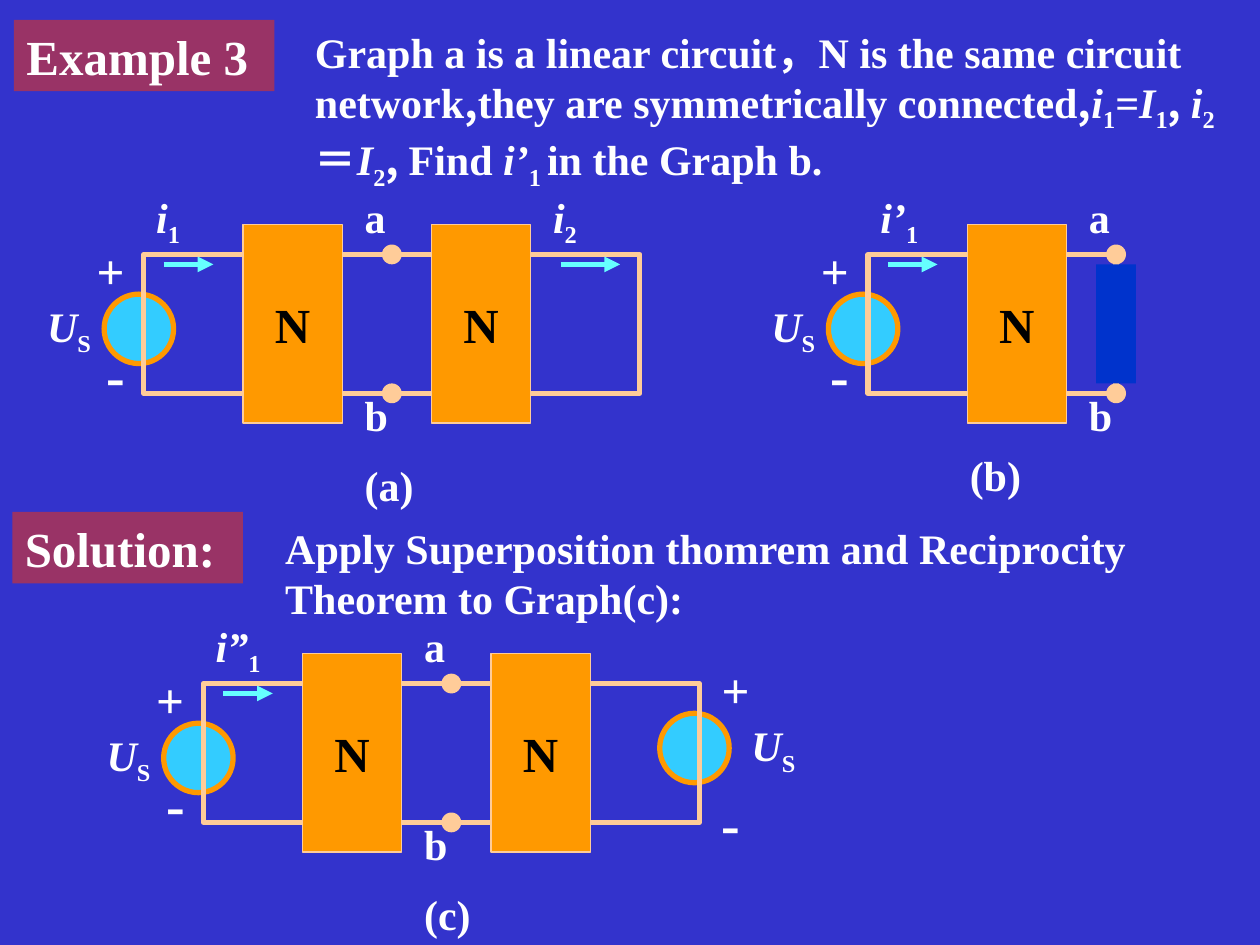
"""Build a slide on symmetric linear circuits, with three circuit graphs."""
from lxml.etree import SubElement
from pptx import Presentation
from pptx.dml.color import RGBColor
from pptx.enum.shapes import MSO_CONNECTOR, MSO_SHAPE
from pptx.enum.text import MSO_ANCHOR, MSO_AUTO_SIZE, PP_ALIGN
from pptx.oxml.ns import qn
from pptx.util import Cm, Pt

BLUE = RGBColor(0x33, 0x33, 0xCC)
NAVY = RGBColor(0x00, 0x33, 0xCC)
WINE = RGBColor(0x99, 0x33, 0x66)
SKY = RGBColor(0x33, 0xCC, 0xFF)
AQUA = RGBColor(0x66, 0xFF, 0xFF)
ORANGE = RGBColor(0xFF, 0x99, 0x00)
PEACH = RGBColor(0xFF, 0xCC, 0x99)
WHITE = RGBColor(0xFF, 0xFF, 0xFF)
BLACK = RGBColor(0x00, 0x00, 0x00)
SERIF, HAN = "Times New Roman", "Noto Sans CJK SC"
RECT, OVAL = MSO_SHAPE.RECTANGLE, MSO_SHAPE.OVAL

HEAD = [("Example 3", "")]
TASK = [
    ("Graph a is a linear circuit", ""), ("，", "han"),
    ("N is the same circuit network", ""), (",", "han"),
    ("they are symmetrically connected", ""), (",", "han"),
    ("i", "var"), ("1", "sub"), ("=", ""), ("I", "var"), ("1", "sub"), (", ", "han"),
    ("i", "var"), ("2", "sub"), ("＝", ""), ("I", "var"), ("2", "sub"), (", ", "han"),
    ("Find ", ""), ("i’", "var"), ("1 ", "sub"), ("in the Graph b.", ""),
]
SOLVE = [("Solution:", "")]
APPLY = [("Apply Superposition thomrem and Reciprocity Theorem to Graph(c):", "")]
VOLT = [("U", "var"), ("S", "sub")]

GRAPHS = [
    {"at": (2.9, 5.13), "wide": 10, "boxes": (2, 5.8), "name": "(a)", "foot": (4.2, 4),
     "flows": [("i", "1", 0, 0.4, 1.4), ("i", "2", 8, 8.4, 9.6)]},
    {"at": (17.5, 5.13), "wide": 5, "boxes": (2,), "name": "(b)", "foot": (1.8, 3.8),
     "flows": [("i’", "1", 0, 0.4, 1.4)], "load": (4.6, 0.2, 0.8, 2.4)},
    {"at": (4.1, 13.78), "wide": 10, "boxes": (2, 5.8), "name": "(c)", "foot": (4.2, 4),
     "flows": [("i”", "1", 0, 0.4, 1.4)], "right": True},
]
TALL = 2.8
LEFT = {"ring": (-0.8, 0.8), "volt": (-2.2, 0.8), "plus": (-1.2, -0.4), "minus": (-1, 1.6)}
RIGHT = {"ring": (9.2, 0.6), "volt": (10.8, 0.6), "plus": (10.2, -0.6), "minus": (10.2, 2)}


def write(shape, runs, size=24, color=WHITE, fit=MSO_AUTO_SIZE.NONE):
    frame = shape.text_frame
    frame.word_wrap = True
    frame.auto_size = fit
    frame.vertical_anchor = MSO_ANCHOR.TOP
    para = frame.paragraphs[0]
    para.alignment = PP_ALIGN.LEFT
    for text, style in runs:
        run = para.add_run()
        run.text = text
        font = run.font
        font.name = HAN if style == "han" else SERIF
        font.size, font.bold, font.italic = Pt(size), True, style == "var"
        font.color.rgb = color
        props = font._element
        SubElement(props, qn("a:ea"), typeface=HAN)
        if style == "sub":
            props.set("baseline", "-25000")


def label(shapes, x, y, wide, high, runs, size=24):
    box = shapes.add_textbox(Cm(x), Cm(y), Cm(wide), Cm(high))
    write(box, runs, size, fit=MSO_AUTO_SIZE.SHAPE_TO_FIT_TEXT)


def draw(shapes, kind, x, y, wide, high, fill=None, line=None, width=3):
    shape = shapes.add_shape(kind, Cm(x), Cm(y), Cm(wide), Cm(high))
    shape.shadow.inherit = False
    for paint, color in ((shape.fill, fill), (shape.line.fill, line)):
        if color is None:
            paint.background()
        else:
            paint.solid()
            paint.fore_color.rgb = color
    if line is not None:
        shape.line.width = Pt(width)
    return shape


def arrow(shapes, start, end, y):
    link = shapes.add_connector(MSO_CONNECTOR.STRAIGHT, Cm(start), Cm(y), Cm(end), Cm(y))
    link.line.color.rgb = AQUA
    link.line.width = Pt(3)
    props = link._element.spPr
    SubElement(props.find(qn("a:ln")), qn("a:tailEnd"), type="triangle")
    SubElement(props, qn("a:effectLst"))


def block(shapes, x, y):
    shape = draw(shapes, RECT, x, y, 2, 4, ORANGE, PEACH, 0.75)
    write(shape, [("N", "")], 28, BLACK)
    frame = shape.text_frame
    frame.word_wrap = False
    frame.vertical_anchor = MSO_ANCHOR.MIDDLE
    frame.paragraphs[0].alignment = PP_ALIGN.CENTER


def circuit(slide, graph):
    shapes = slide.shapes.add_group_shape().shapes
    x, y = graph["at"]
    sides = [LEFT, RIGHT] if graph.get("right") else [LEFT]

    def place(spot):
        return x + spot[0], y + spot[1]

    for side in sides:
        draw(shapes, OVAL, *place(side["ring"]), 1.4, 1.4, SKY, ORANGE)
    draw(shapes, RECT, x, y, graph["wide"], TALL, line=PEACH)
    for left in graph["boxes"]:
        block(shapes, x + left, y - 0.6)
    for sign, index, left, start, end in graph["flows"]:
        arrow(shapes, x + start, x + end, y + 0.2)
        label(shapes, x + left, y - 1.4, 2, 1.27, [(sign, "var"), (index, "sub")])
    for text, top, drop in (("a", -1.4, 0), ("b", 2.6, TALL)):
        label(shapes, x + 4.2, y + top, 1.4, 1.27, [(text, "")])
        draw(shapes, OVAL, x + 4.8, y + drop - 0.2, 0.4, 0.4, PEACH)
    for side in sides:
        label(shapes, *place(side["volt"]), 2, 1.27, VOLT)
        label(shapes, *place(side["plus"]), 1.4, 1.44, [("+", "")], 28)
        label(shapes, *place(side["minus"]), 1.4, 1.6, [("-", "")], 32)
    if "load" in graph:
        left, top, wide, high = graph["load"]
        draw(shapes, RECT, x + left, y + top, wide, high, NAVY)
    label(shapes, *place(graph["foot"]), 1.6, 1.27, [(graph["name"], "")])


def main():
    deck = Presentation()
    deck.slide_width, deck.slide_height = Cm(25.4), Cm(19.05)
    slide = deck.slides.add_slide(deck.slide_layouts[5])
    slide.background.fill.solid()
    slide.background.fill.fore_color.rgb = BLUE

    title = slide.shapes.title
    title.left, title.top, title.width, title.height = Cm(0.28), Cm(0.4), Cm(5.25), Cm(1.44)
    title.fill.solid()
    title.fill.fore_color.rgb = WINE
    write(title, HEAD, 28)

    label(slide.shapes, 6.1, 0.4, 18.8, 3.33, TASK)
    write(draw(slide.shapes, RECT, 0.25, 10.32, 4.65, 1.44, WINE), SOLVE, 28)
    label(slide.shapes, 5.5, 10.4, 19.4, 2.31, APPLY)
    for graph in GRAPHS:
        circuit(slide, graph)
    deck.save("out.pptx")


if __name__ == "__main__":
    main()
